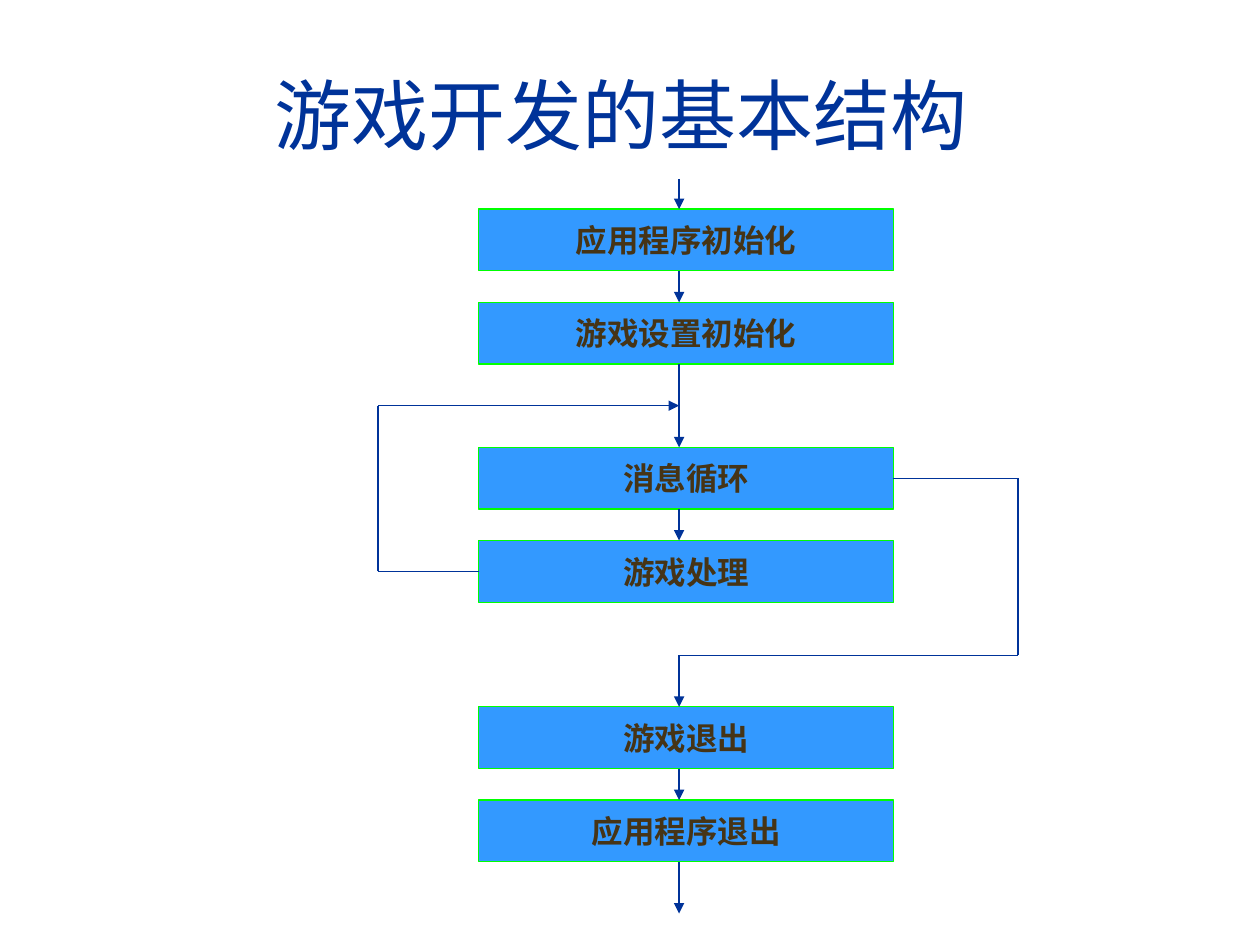
from itertools import pairwise

from lxml import etree
from pptx import Presentation
from pptx import util as u
from pptx.dml.color import RGBColor
from pptx.enum import shapes, text
from pptx.oxml import ns

COLORS = {"navy": "003399", "box": "3399FF", "border": "00FF00", "label": "463416"}
FONT = "Arial"
BOX_LEFT, BOX_WIDTH, BOX_HEIGHT = 3.8, 3.29, 0.49
FLOW_X, LOOP_X, EXIT_X = 5.39, 3, 8.08
LOOP_Y, EXIT_Y = 3.22, 5.2
STEPS = [
    ("应用程序初始化", 1.66),
    ("游戏设置初始化", 2.4),
    ("消息循环", 3.55),
    ("游戏处理", 4.29),
    ("游戏退出", 5.61),
    ("应用程序退出", 6.35),
]
FLOW_ARROWS = [(1.42, 1.66), (2.15, 2.4), (2.89, 3.55), (4.04, 4.29), (6.1, 6.35), (6.84, 7.25)]
LEFT_SITE, RIGHT_SITE = 1, 3


def color(name):
    return RGBColor.from_string(COLORS[name])


def write_text(frame, content, size, color_name, bold=False):
    frame.vertical_anchor = text.MSO_ANCHOR.MIDDLE
    paragraph = frame.paragraphs[0]
    paragraph.alignment = text.PP_ALIGN.CENTER
    run = paragraph.add_run()
    run.text = content
    run.font.name = FONT
    run.font.size = u.Pt(size)
    run.font.bold = bold
    run.font.color.rgb = color(color_name)


def add_title(slide, content):
    title = slide.shapes.title
    title.left, title.top = u.Inches(0.43), u.Inches(0.28)
    title.width, title.height = u.Inches(9), u.Inches(1.25)
    write_text(title.text_frame, content, 44, "navy")


def add_step(slide, label, top):
    shape = slide.shapes.add_shape(
        shapes.MSO_SHAPE.RECTANGLE,
        u.Inches(BOX_LEFT), u.Inches(top), u.Inches(BOX_WIDTH), u.Inches(BOX_HEIGHT),
    )
    shape.shadow.inherit = False
    shape.fill.solid()
    shape.fill.fore_color.rgb = color("box")
    shape.line.color.rgb = color("border")
    shape.line.width = u.Pt(0.75)
    shape.text_frame.word_wrap = False
    write_text(shape.text_frame, label, 18, "label", bold=True)
    return shape


def add_line(slide, start, end, arrow=False):
    connector = slide.shapes.add_connector(
        shapes.MSO_CONNECTOR.STRAIGHT, *(u.Inches(value) for value in (*start, *end))
    )
    connector.line.color.rgb = color("navy")
    connector.line.width = u.Pt(0.75)
    properties = connector._element.spPr
    if arrow:
        outline = properties.find(ns.qn("a:ln"))
        etree.SubElement(outline, ns.qn("a:tailEnd"), type="triangle")
    etree.SubElement(properties, ns.qn("a:effectLst"))
    return connector


def add_route(slide, step, site, corners):
    middle = (step.top + step.height / 2) / u.Inches(1)
    edge = BOX_LEFT if site == LEFT_SITE else BOX_LEFT + BOX_WIDTH
    points = [(edge, middle), (corners[0][0], middle), *corners]
    lines = [
        add_line(slide, start, end, arrow=end == points[-1])
        for start, end in pairwise(points)
    ]
    lines[0].begin_connect(step, site)


def main():
    presentation = Presentation()
    presentation.slide_width, presentation.slide_height = u.Inches(10), u.Inches(7.5)
    slide = presentation.slides.add_slide(presentation.slide_layouts[5])
    add_title(slide, "游戏开发的基本结构")
    steps = [add_step(slide, label, top) for label, top in STEPS]
    for start, end in FLOW_ARROWS:
        add_line(slide, (FLOW_X, start), (FLOW_X, end), arrow=True)
    message_loop, game_processing, game_exit_top = steps[2], steps[3], STEPS[4][1]
    add_route(slide, game_processing, LEFT_SITE, [(LOOP_X, LOOP_Y), (FLOW_X, LOOP_Y)])
    add_route(
        slide, message_loop, RIGHT_SITE,
        [(EXIT_X, EXIT_Y), (FLOW_X, EXIT_Y), (FLOW_X, game_exit_top)],
    )
    presentation.save("out.pptx")


if __name__ == "__main__":
    main()
